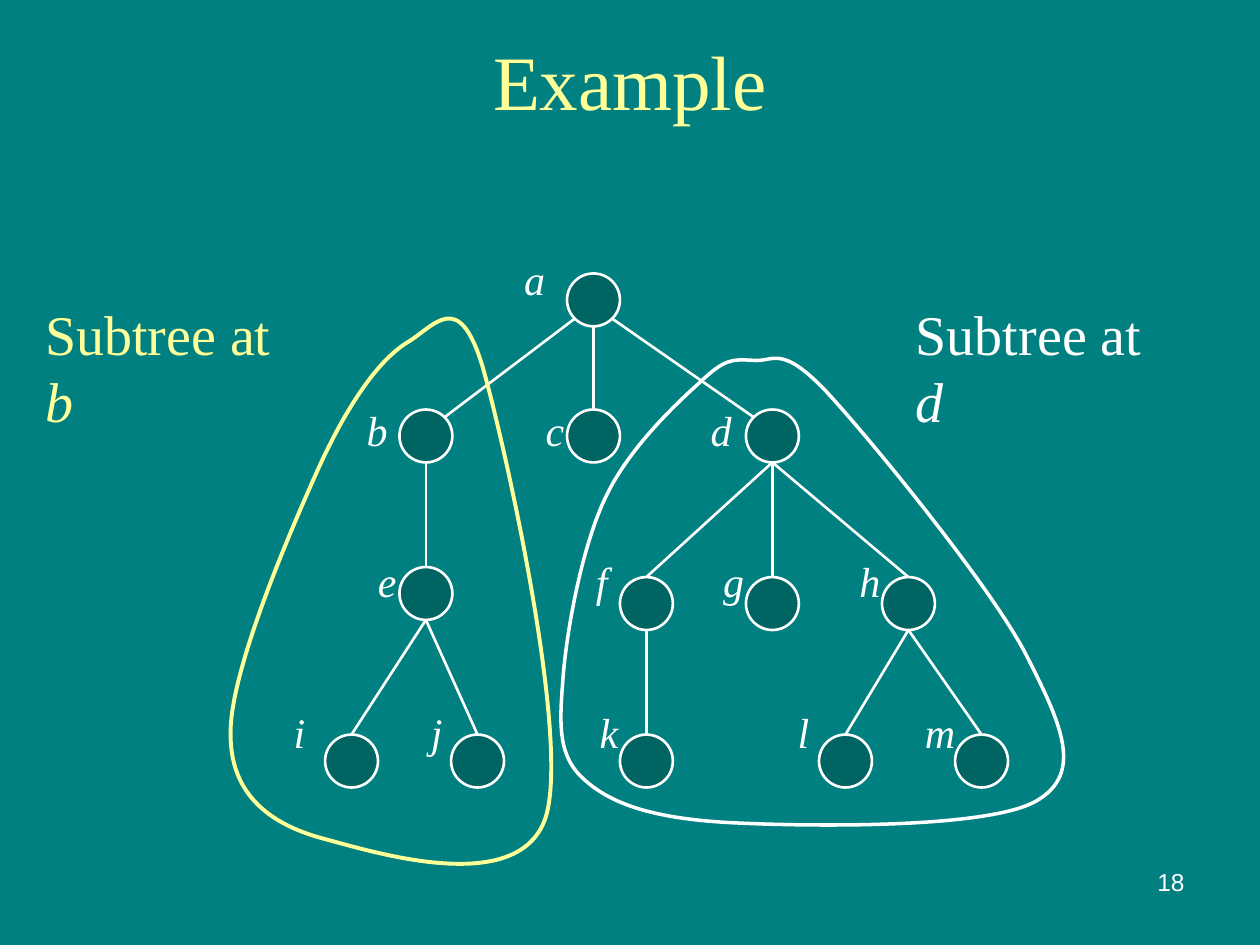
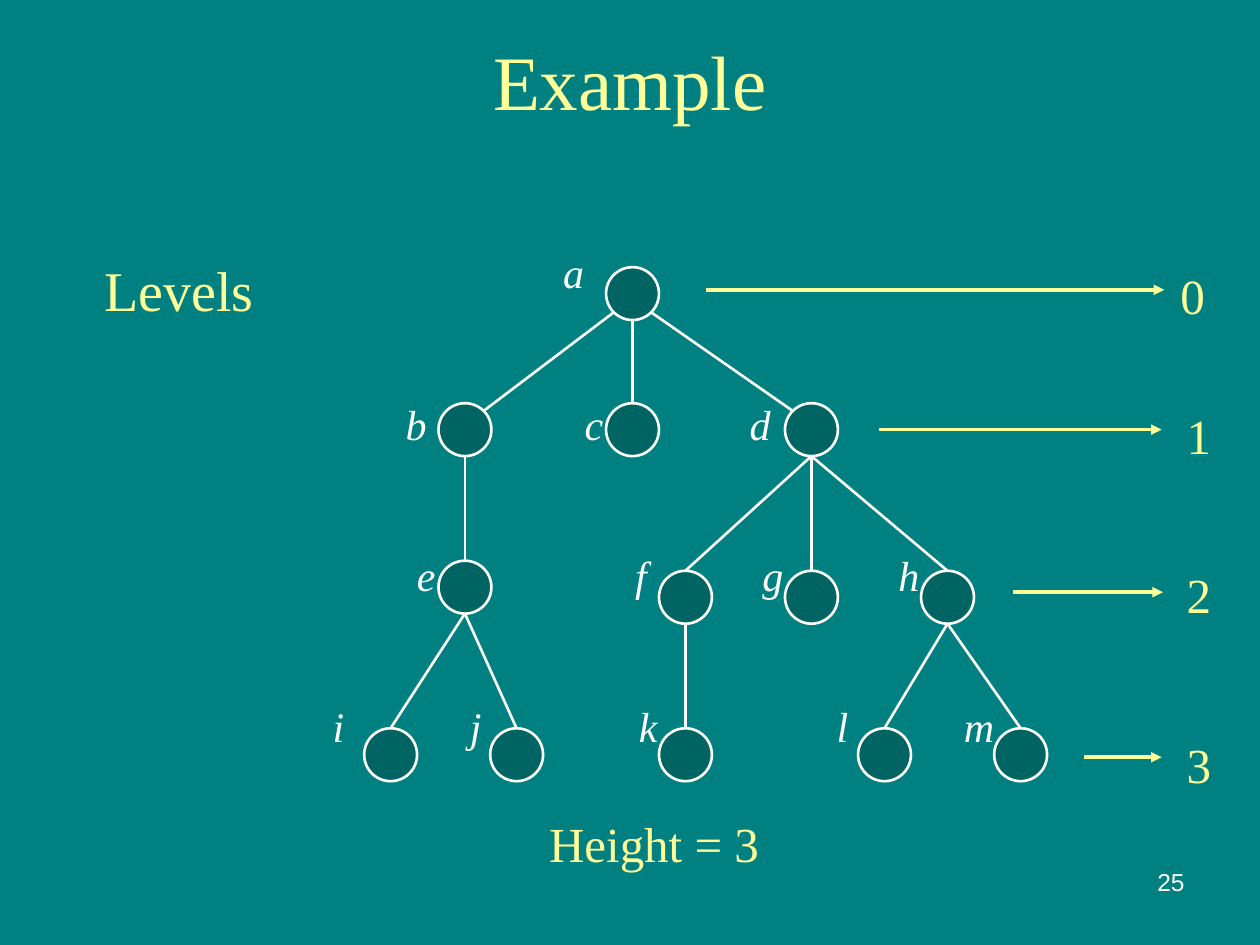
import pptx
import pptx.dml.color
import pptx.enum.shapes
import pptx.enum.text
import pptx.oxml
import pptx.oxml.ns
import pptx.util
from dataclasses import dataclass

Inches = pptx.util.Inches
Pt = pptx.util.Pt
qn = pptx.oxml.ns.qn
PP_ALIGN = pptx.enum.text.PP_ALIGN
MSO_SHAPE = pptx.enum.shapes.MSO_SHAPE


def rgb(code):
    return pptx.dml.color.RGBColor.from_string(code)


@dataclass(frozen=True)
class Theme:
    background = rgb("008080")
    node = rgb("006462")
    white = rgb("FFFFFF")
    yellow = rgb("FFFF99")
    serif = "Times New Roman"
    sans = "Arial"
    title_size = 44
    heading_size = 32
    level_size = 28
    label_size = 24
    number_size = 14
    edge_width = 1.5
    arrow_width = 2


THEME = Theme()

TITLE = "Example"
DIAMETER = 0.42
DIAGONAL = 0.15
LABEL_TOP = 2.01
LABEL_STEP = 1.2

# name: (depth, node left, node top, label left)
NODES = {
    "a": (0, 4.5, 2.17, 4.16),
    "b": (1, 3.17, 3.25, 2.91),
    "c": (1, 4.5, 3.25, 4.33),
    "d": (1, 5.92, 3.25, 5.64),
    "e": (2, 3.17, 4.5, 3.0),
    "f": (2, 4.92, 4.58, 4.73),
    "g": (2, 5.92, 4.58, 5.74),
    "h": (2, 7.0, 4.58, 6.82),
    "i": (3, 2.58, 5.83, 2.33),
    "j": (3, 3.58, 5.83, 3.42),
    "k": (3, 4.92, 5.83, 4.76),
    "l": (3, 6.5, 5.83, 6.33),
    "m": (3, 7.58, 5.83, 7.34),
}
CHILDREN = {"a": "bcd", "b": "e", "d": "fgh", "e": "ij", "f": "k", "h": "lm"}

SUBTREES = [
    {
        "root": "d", "left": 7.17, "color": THEME.white, "width": 2,
        "outline": [
            (5.56, 3.03),
            (5.75, 2.85), (5.81, 2.85), (5.97, 2.86),
            (6.14, 2.88), (6.19, 2.72), (6.56, 3.11),
            (6.92, 3.5), (7.86, 4.65), (8.14, 5.19),
            (8.42, 5.74), (8.61, 6.14), (8.22, 6.36),
            (7.83, 6.58), (6.4, 6.56), (5.81, 6.53),
            (5.21, 6.5), (4.86, 6.39), (4.64, 6.19),
            (4.42, 6), (4.44, 5.74), (4.47, 5.36),
            (4.5, 4.99), (4.62, 4.33), (4.81, 3.94),
            (4.99, 3.56), (5.36, 3.21), (5.56, 3.03),
        ],
    },
    {
        "root": "b", "left": 0.26, "color": THEME.yellow, "width": 2.25,
        "outline": [
            (3.23, 2.72),
            (3.02, 2.85), (2.78, 3.17), (2.54, 3.69),
            (2.31, 4.2), (1.82, 5.33), (1.83, 5.83),
            (1.83, 6.32), (2.16, 6.55), (2.58, 6.66),
            (2.99, 6.77), (4.12, 7.12), (4.33, 6.49),
            (4.53, 5.87), (4.01, 3.54), (3.83, 2.91),
            (3.64, 2.28), (3.45, 2.59), (3.23, 2.72),
        ],
    },
]

# arrow start, arrow end, arrow height, number left, number top
LEVELS = [
    (5.6, 9.24, 2.3, 9.27, 2.06),
    (6.98, 9.22, 3.41, 9.32, 3.17),
    (8.04, 9.23, 4.7, 9.32, 4.43),
    (8.6, 9.22, 6.01, 9.32, 5.78),
]


def add_text(shapes, box, runs, size, color, font=THEME.serif, align=PP_ALIGN.LEFT,
             wrap=True, inset=True):
    frame = shapes.add_textbox(*map(Inches, box)).text_frame
    frame.word_wrap = wrap
    if not inset:
        frame.margin_left = frame.margin_right = 0
        frame.margin_top = frame.margin_bottom = 0
    paragraph = frame.paragraphs[0]
    paragraph.alignment = align
    for text, italic in runs:
        run = paragraph.add_run()
        run.text = text
        if italic:
            run.font.italic = True
    paragraph.font.name = font
    paragraph.font.size = Pt(size)
    paragraph.font.color.rgb = color


def add_line(shapes, start, end, color, width, arrow=False):
    line = shapes.add_connector(pptx.enum.shapes.MSO_CONNECTOR.STRAIGHT,
                                *map(Inches, (*start, *end)))
    line.line.color.rgb = color
    line.line.width = Pt(width)
    properties = line._element.spPr
    if arrow:
        head = pptx.oxml.ns.qn("a:tailEnd")
        line.line._get_or_add_ln().makeelement(head)
        tail = pptx.oxml.parse_xml(
            '<a:tailEnd xmlns:a="http://schemas.openxmlformats.org/drawingml/2006/main"'
            ' type="triangle"/>')
        line.line._get_or_add_ln().append(tail)
    properties.append(properties.makeelement(qn("a:effectLst")))


def add_tree(slide, dx=0, dy=0):
    shapes = slide.shapes.add_group_shape().shapes
    for depth, left, top, label_left in NODES.values():
        node = shapes.add_shape(MSO_SHAPE.OVAL, Inches(left + dx), Inches(top + dy),
                                Inches(DIAMETER), Inches(DIAMETER))
        node.shadow.inherit = False
        node.fill.solid()
        node.fill.fore_color.rgb = THEME.node
        node.line.color.rgb = THEME.white
        node.line.width = Pt(THEME.edge_width)
    radius = DIAMETER / 2
    for parent, children in CHILDREN.items():
        for child in children:
            x1, y1 = (NODES[parent][i] + radius + d for i, d in ((1, dx), (2, dy)))
            x2, y2 = (NODES[child][i] + radius + d for i, d in ((1, dx), (2, dy)))
            if parent == "a" and x1 != x2:
                side = DIAGONAL if x2 > x1 else -DIAGONAL
                start, end = (x1 + side, y1 + DIAGONAL), (x2 - side, y2 - DIAGONAL)
            else:
                start, end = (x1, y1 + radius), (x2, y2 - radius)
            add_line(shapes, start, end, THEME.white, THEME.edge_width)
    for name, (depth, left, top, label_left) in NODES.items():
        box = (label_left + dx, LABEL_TOP + depth * LABEL_STEP + dy, 0.3, 0.4)
        add_text(shapes, box, [(name, True)], THEME.label_size, THEME.white, inset=False)


def add_outline(slide, points, color, width):
    start, *controls = [(Inches(x), Inches(y)) for x, y in points]
    builder = slide.shapes.build_freeform(*start)
    builder.add_line_segments(controls, close=True)
    outline = builder.convert_to_shape()
    outline.shadow.inherit = False
    outline.fill.background()
    outline.line.color.rgb = color
    outline.line.width = Pt(width)
    segments = list(outline._element.iter(qn("a:lnTo")))
    for first in range(0, len(segments), 3):
        curve = segments[first].makeelement(qn("a:cubicBezTo"))
        segments[first].addprevious(curve)
        for segment in segments[first:first + 3]:
            curve.append(segment[0])
            segment.getparent().remove(segment)


def add_slide(deck, number):
    slide = deck.slides.add_slide(deck.slide_layouts[5])
    title = slide.shapes.title
    title.left, title.top, title.width, title.height = map(Inches, (0.5, 0.17, 9, 0.92))
    title.text_frame.text = TITLE
    title.text_frame.vertical_anchor = pptx.enum.text.MSO_ANCHOR.MIDDLE
    paragraph = title.text_frame.paragraphs[0]
    paragraph.alignment = PP_ALIGN.CENTER
    paragraph.font.name = THEME.serif
    paragraph.font.size = Pt(THEME.title_size)
    paragraph.font.color.rgb = THEME.yellow
    add_text(slide.shapes, (7.17, 6.83, 2.33, 0.52), [(str(number), False)],
             THEME.number_size, THEME.white, THEME.sans, PP_ALIGN.RIGHT)
    return slide


def build_subtrees(deck):
    slide = add_slide(deck, 18)
    add_tree(slide)
    for subtree in SUBTREES:
        add_text(slide.shapes, (subtree["left"], 2.33, 2.32, 0.63),
                 [("Subtree at ", False), (subtree["root"], True)],
                 THEME.heading_size, subtree["color"], wrap=False)
        add_outline(slide, subtree["outline"], subtree["color"], subtree["width"])


def build_levels(deck):
    slide = add_slide(deck, 25)
    add_tree(slide, 0.31, -0.05)
    add_text(slide.shapes, (0.73, 1.98, 1.39, 0.63), [("Levels", False)],
             THEME.heading_size, THEME.yellow, wrap=False)
    for level, (start, end, height, left, top) in enumerate(LEVELS):
        add_line(slide.shapes, (start, height), (end, height), THEME.yellow,
                 THEME.arrow_width, arrow=True)
        add_text(slide.shapes, (left, top, 0.45, 0.57), [(str(level), False)],
                 THEME.level_size, THEME.yellow)
    add_text(slide.shapes, (4.26, 6.41, 2.39, 0.57), [(f"Height = {len(LEVELS) - 1}", False)],
             THEME.level_size, THEME.yellow)


def main():
    deck = pptx.Presentation()
    deck.slide_width, deck.slide_height = Inches(10), Inches(7.5)
    fill = deck.slide_master.background.fill
    fill.solid()
    fill.fore_color.rgb = THEME.background
    build_subtrees(deck)
    build_levels(deck)
    deck.save("out.pptx")


if __name__ == "__main__":
    main()
